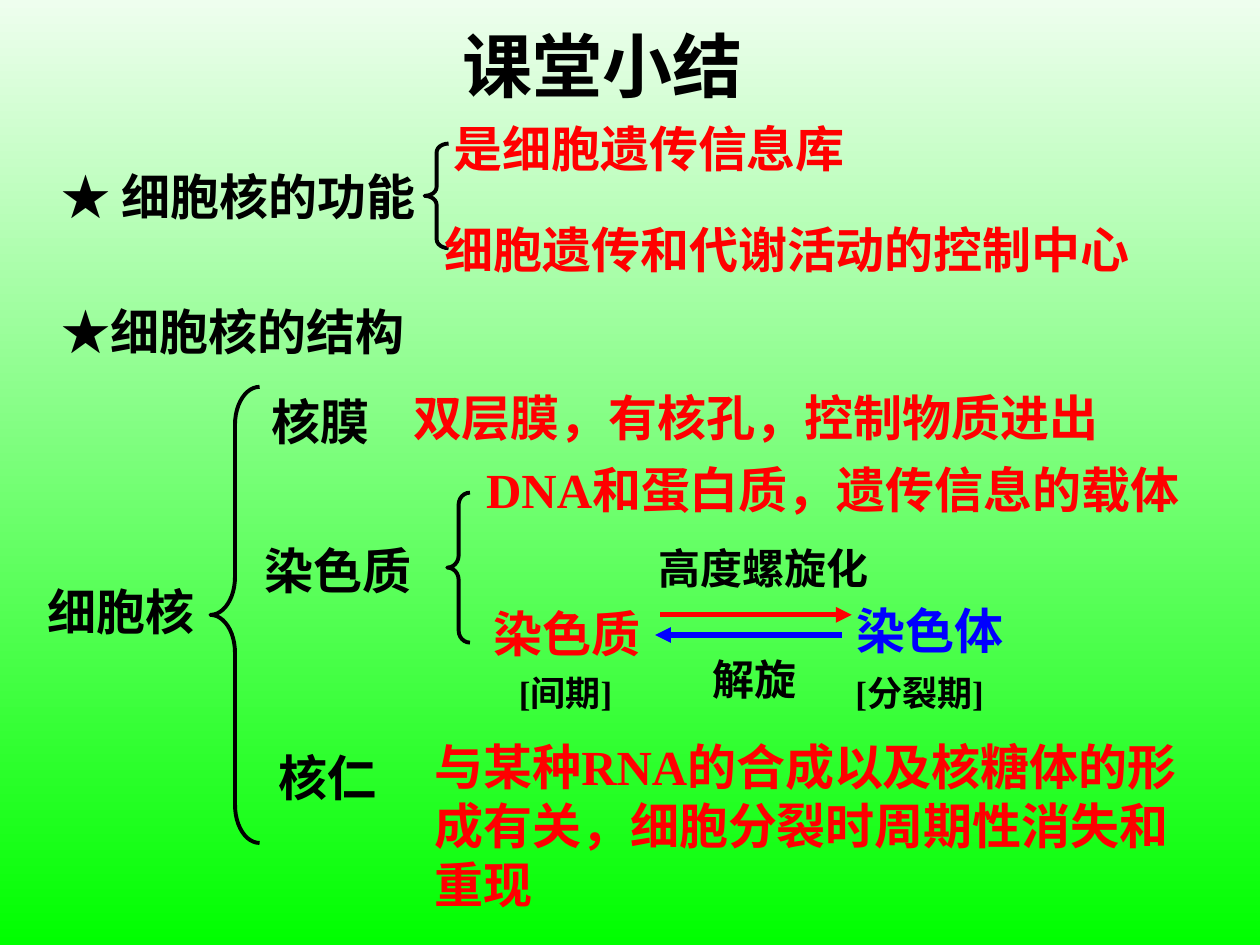
from dataclasses import dataclass

import pptx
import pptx.dml.color
import pptx.enum.dml
import pptx.enum.shapes
import pptx.enum.text
import pptx.oxml.ns
import pptx.util
from lxml import etree

PX = 9144  # EMU in one px: 100 px to the inch
BLACK, RED, BLUE = "000000", "FF0000", "0000FF"
SERIF, SANS = "Times New Roman", "Noto Sans CJK JP"


@dataclass
class Label:
    text: str
    left: int
    top: int
    width: int
    height: int = 57
    size: int = 28
    color: str = BLACK
    font: str = SERIF
    line_spacing: float = 1.0
    centered: bool = False
    wrap: bool = True


@dataclass
class Brace:
    left: int
    top: int
    width: int
    height: int
    curve: float


@dataclass
class Arrow:
    start: int
    end: int
    y: int
    color: str


TITLE = Label("课堂小结", 218, 13, 520, 77, size=40, centered=True)

LABELS = [
    # Function of the nucleus
    Label("★ 细胞核的功能", 39, 127, 391),
    Label("是细胞遗传信息库", 350, 68, 541, 78, color=RED, font=SANS, line_spacing=1.45),
    Label("细胞遗传和代谢活动的控制中心", 343, 148, 658, 78, color=RED, font=SANS,
          line_spacing=1.45),
    # Structure of the nucleus
    Label("★细胞核的结构", 39, 234, 391),
    Label("细胞核", 11, 457, 170, centered=True),
    Label("核膜", 206, 306, 117),
    Label("双层膜，有核孔，控制物质进出", 318, 282, 613, 78, color=RED, font=SANS,
          line_spacing=1.45),
    Label("染色质", 200, 424, 153),
    Label("核仁", 211, 588, 117),
    Label("与某种RNA的合成以及核糖体的形成有关，细胞分裂时周期性消失和重现",
          335, 580, 638, 150, color=RED),
    # Chromatin and chromosome
    Label("DNA和蛋白质，遗传信息的载体", 376, 360, 597, color=RED),
    Label("染色质", 382, 474, 157, color=RED),
    Label("染色体", 670, 472, 150, color=BLUE),
    Label("高度螺旋化", 513, 426, 228, 50, size=24),
    Label("解旋", 556, 514, 118, 50, size=24),
    Label("[间期]", 402, 528, 107, 44, size=20, wrap=False),
    Label("[分裂期]", 669, 528, 135, 44, size=20, wrap=False),
]

BRACES = [
    Brace(337, 114, 19, 83, 0.37),
    Brace(167, 307, 39, 362, 0.77),
    Brace(355, 391, 18, 119, 0.53),
]

ARROWS = [Arrow(524, 676, 488, RED), Arrow(668, 520, 504, BLUE)]


def rgb(value: str) -> pptx.dml.color.RGBColor:
    return pptx.dml.color.RGBColor.from_string(value)


def fill_label(box, label: Label) -> None:
    """Place a text box or placeholder and format its one paragraph."""
    box.left, box.top = label.left * PX, label.top * PX
    box.width, box.height = label.width * PX, label.height * PX
    frame = box.text_frame
    frame.word_wrap = label.wrap
    frame.auto_size = pptx.enum.text.MSO_AUTO_SIZE.NONE
    frame.vertical_anchor = pptx.enum.text.MSO_ANCHOR.TOP
    para = frame.paragraphs[0]
    para.text = label.text
    align = pptx.enum.text.PP_ALIGN
    para.alignment = align.CENTER if label.centered else align.LEFT
    para.line_spacing = label.line_spacing
    para.space_before = pptx.util.Pt(0)
    para.font.size = pptx.util.Pt(label.size)
    para.font.bold = True
    para.font.color.rgb = rgb(label.color)
    para.font.name = label.font
    # Chinese characters take their typeface from the East Asian font
    properties = para._p.pPr.find(pptx.oxml.ns.qn("a:defRPr"))
    etree.SubElement(properties, pptx.oxml.ns.qn("a:ea"), typeface=SANS)


def draw_brace(slide, brace: Brace) -> None:
    shape = slide.shapes.add_shape(
        pptx.enum.shapes.MSO_SHAPE.LEFT_BRACE,
        brace.left * PX, brace.top * PX, brace.width * PX, brace.height * PX)
    shape.adjustments[0] = brace.curve
    shape.shadow.inherit = False
    shape.fill.background()
    shape.line.color.rgb = rgb(BLACK)
    shape.line.width = pptx.util.Pt(2.25)


def draw_arrow(slide, arrow: Arrow) -> None:
    line = slide.shapes.add_connector(
        pptx.enum.shapes.MSO_CONNECTOR.STRAIGHT,
        arrow.start * PX, arrow.y * PX, arrow.end * PX, arrow.y * PX)
    line.line.color.rgb = rgb(arrow.color)
    line.line.width = pptx.util.Pt(3)
    properties = line._element.spPr
    etree.SubElement(line.line._get_or_add_ln(), pptx.oxml.ns.qn("a:tailEnd"),
                     type="triangle")
    etree.SubElement(properties, pptx.oxml.ns.qn("a:effectLst"))


def main() -> None:
    deck = pptx.Presentation()
    deck.slide_width, deck.slide_height = 1000 * PX, 750 * PX
    slide = deck.slides.add_slide(deck.slide_layouts[5])

    # Background: pale at the top, green at the bottom
    fill = slide.background.fill
    fill.gradient()
    fill.gradient_angle = 270
    for stop, color in zip(fill.gradient_stops, ("EEFEEE", "00FF00")):
        stop.color.rgb = rgb(color)

    fill_label(slide.shapes.title, TITLE)
    for brace in BRACES:
        draw_brace(slide, brace)
    for arrow in ARROWS:
        draw_arrow(slide, arrow)
    for label in LABELS:
        fill_label(slide.shapes.add_textbox(0, 0, PX, PX), label)

    deck.save("out.pptx")


if __name__ == "__main__":
    main()
